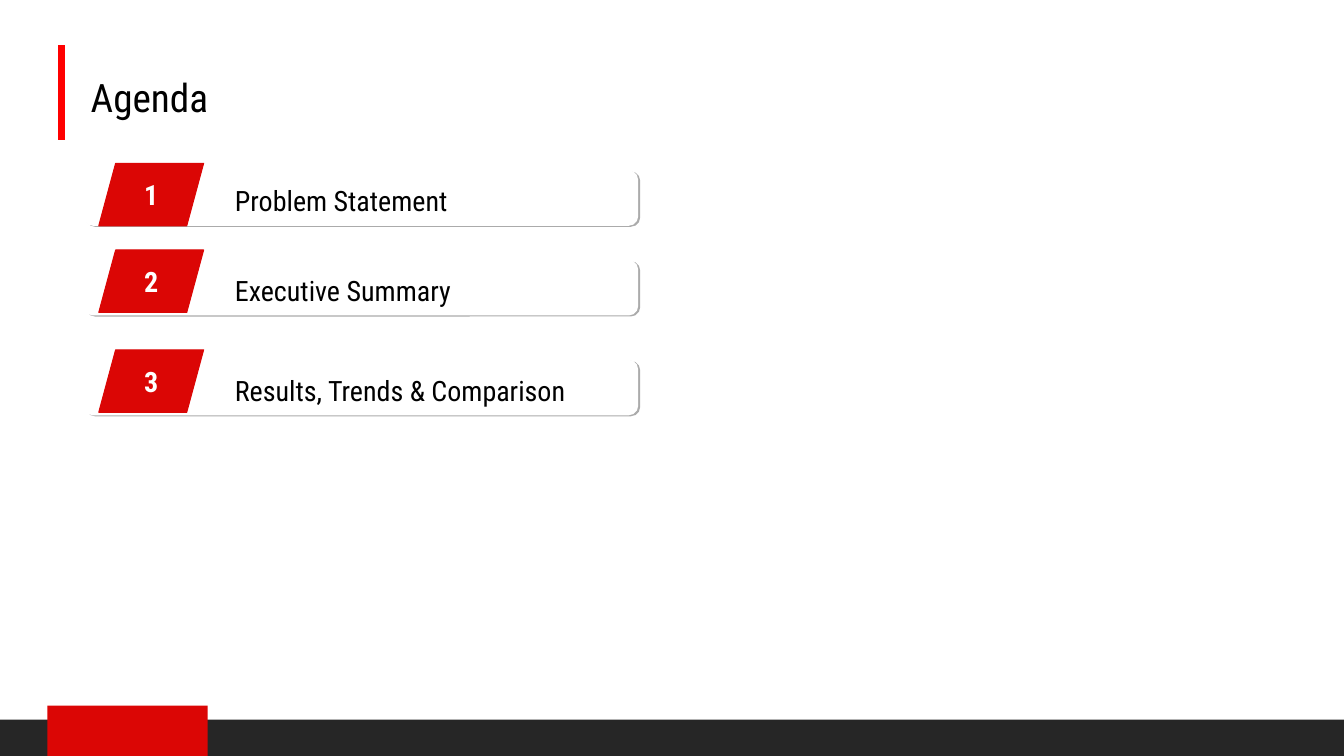
from dataclasses import dataclass

from lxml.etree import SubElement
from pptx import Presentation
from pptx.dml.color import RGBColor
from pptx.enum.shapes import MSO_CONNECTOR as CONN, MSO_SHAPE as SHAPE
from pptx.enum.text import MSO_ANCHOR as ANCHOR, PP_ALIGN as ALIGN
from pptx.oxml.ns import qn
from pptx.util import Inches, Pt


@dataclass(frozen=True)
class Theme:
    font: str = "Roboto Condensed"
    accent: str = "DB0605"
    rule: str = "FF0000"
    footer: str = "262626"
    dark: str = "000000"
    light: str = "FFFFFF"
    title_size: int = 28
    item_size: int = 20


class AgendaSlide:
    """Draws the agenda elements on one slide in a shared style."""

    def __init__(self, slide, theme):
        self.s = slide
        self.t = theme

    def rule(self, x, top, bottom):
        line = self.s.shapes.add_connector(
            CONN.STRAIGHT, Inches(x), Inches(top), Inches(x), Inches(bottom))
        line.line.color.rgb = RGBColor.from_string(self.t.rule)
        line.line.width = Pt(4.5)
        SubElement(line._element.spPr, qn("a:effectLst"))

    def shape(self, kind, box, color, adj=None, alpha=None, outline=False, parent=None):
        sp = (parent or self.s).shapes.add_shape(kind, *map(Inches, box))
        sp.shadow.inherit = False
        sp.fill.solid()
        sp.fill.fore_color.rgb = RGBColor.from_string(color)
        if adj is not None:
            sp.adjustments[0] = adj
        if alpha is not None:
            clr = sp._element.spPr.find(qn("a:solidFill"))[0]
            SubElement(clr, qn("a:alpha")).set("val", str(alpha * 1000))
        if outline:
            sp.line.color.rgb = RGBColor.from_string(color)
            sp.line.width = Pt(0.75)
        else:
            sp.line.fill.background()
        return sp

    def set_text(self, sp, text, size, color, bold=False, align=ALIGN.LEFT, wrap=True):
        tf = sp.text_frame
        tf.text = text
        tf.word_wrap = wrap
        tf.vertical_anchor = ANCHOR.MIDDLE
        tf.margin_left = tf.margin_right = Inches(0.13)
        tf.margin_top = tf.margin_bottom = Inches(0.13)
        p = tf.paragraphs[0]
        p.alignment = align
        font = p.runs[0].font
        font.name = self.t.font
        font.size = Pt(size)
        font.bold = bold
        font.color.rgb = RGBColor.from_string(color)

    def text(self, box, text, size, parent=None):
        sp = (parent or self.s).shapes.add_textbox(*map(Inches, box))
        self.set_text(sp, text, size, self.t.dark)

    def item(self, number, label, card_top, tab_top):
        t = self.t
        group = self.s.shapes.add_group_shape()
        self.shape(SHAPE.ROUNDED_RECTANGLE, (0.85, card_top + 0.01, 5.5, 0.55),
                   t.dark, adj=0.17, alpha=33, parent=group)
        self.shape(SHAPE.ROUNDED_RECTANGLE, (0.83, card_top, 5.5, 0.55),
                   t.light, adj=0.17, parent=group)
        tab = self.shape(SHAPE.PARALLELOGRAM, (0.98, tab_top, 1.04, 0.62),
                         t.accent, adj=0.27, outline=True, parent=group)
        self.set_text(tab, str(number), t.item_size, t.light,
                      bold=True, align=ALIGN.CENTER, wrap=False)
        self.text((2.2, card_top + 0.15, 3.9, 0.3), label, t.item_size, group)


def main():
    prs = Presentation()
    prs.slide_width, prs.slide_height = Inches(13.33), Inches(7.5)
    theme = Theme()
    agenda = AgendaSlide(prs.slides.add_slide(prs.slide_layouts[6]), theme)

    agenda.rule(0.61, 0.45, 1.39)
    agenda.shape(SHAPE.RECTANGLE, (0, 7.14, 13.33, 0.36), theme.footer)
    agenda.shape(SHAPE.RECTANGLE, (0.47, 7, 1.59, 0.5), theme.accent)
    agenda.text((0.77, 0.61, 4.69, 0.7), "Agenda", theme.title_size)

    items = [
        ("Problem Statement", 1.69, 1.62),
        ("Executive Summary", 2.58, 2.48),
        ("Results, Trends & Comparison", 3.57, 3.47),
    ]
    for number, (label, card_top, tab_top) in enumerate(items, 1):
        agenda.item(number, label, card_top, tab_top)

    prs.save("out.pptx")


if __name__ == "__main__":
    main()
